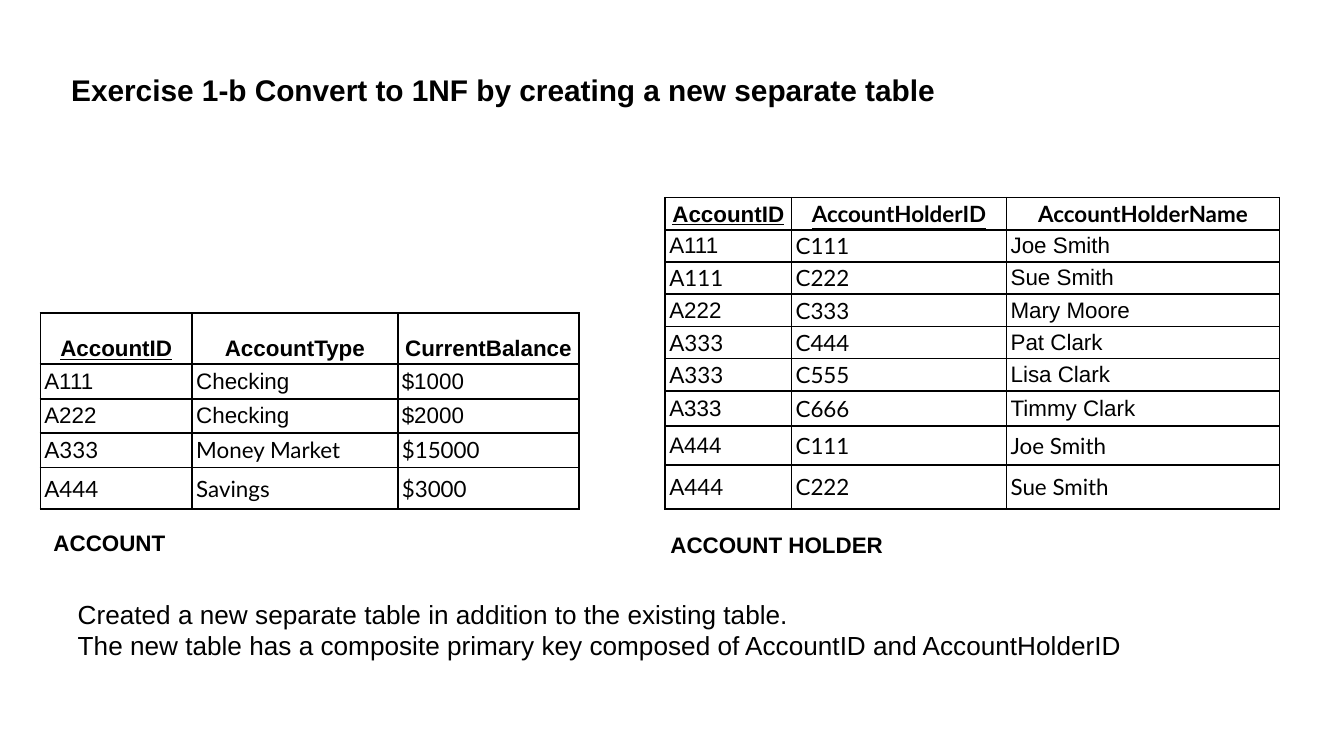
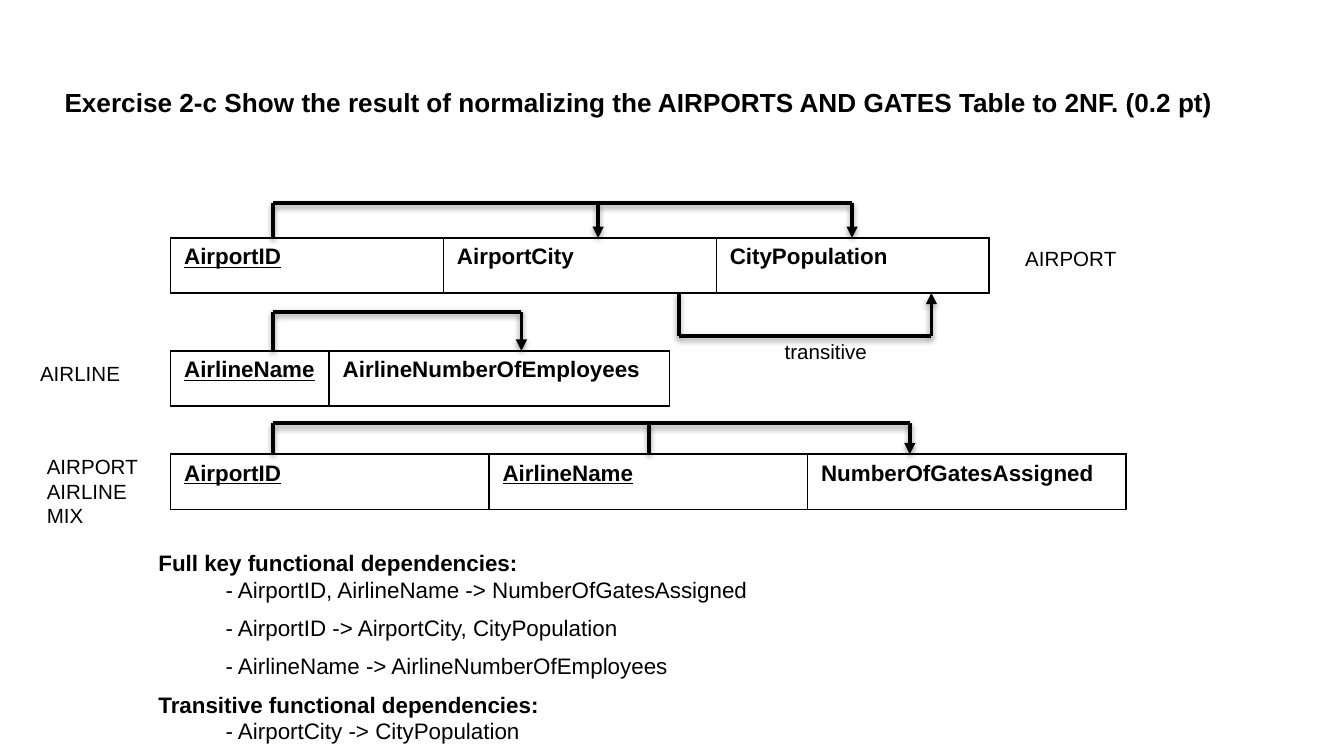
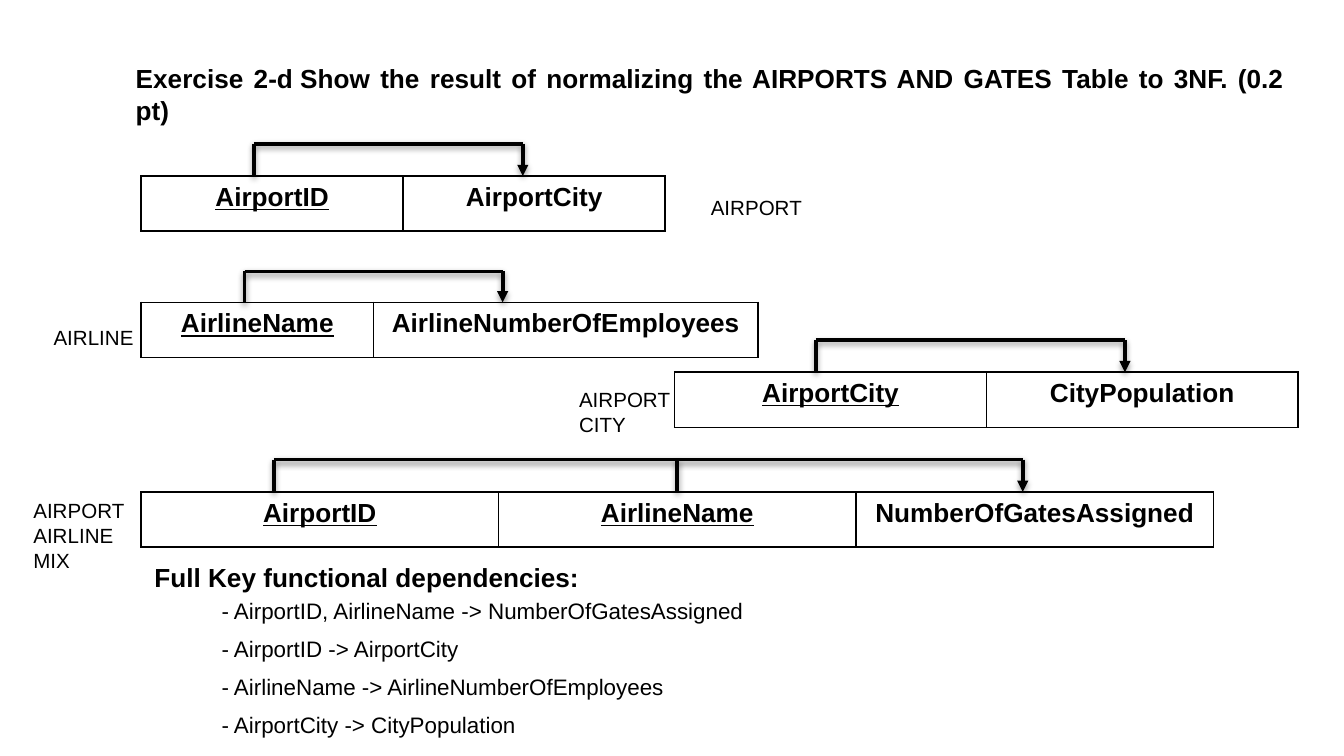
from lxml import etree
from pptx import Presentation
from pptx import util as u
from pptx.dml.color import RGBColor
from pptx.enum import shapes, text
from pptx.oxml import ns, parse_xml

BLACK = RGBColor(0, 0, 0)
FONTS = {"A": "Arial", "L": "Lato"}
LEFT, CENTER, JUSTIFY = text.PP_ALIGN.LEFT, text.PP_ALIGN.CENTER, text.PP_ALIGN.JUSTIFY
TOP, MIDDLE, BOTTOM = text.MSO_ANCHOR.TOP, text.MSO_ANCHOR.MIDDLE, text.MSO_ANCHOR.BOTTOM
SLIDE_W = u.Inches(10)
SLIDE_H = SLIDE_W * 9 // 16
BOX_H = 0.41
LABEL_SIZE = 11
ITEM_SIZE = 12
NBSP = chr(160)

DATA_SLIDE = {
    "title": ("Exercise 1-b Convert to 1NF by creating a new separate table",
              (0.43, 0.37, 8.09, 0.59), 16, LEFT),
    "tables": [
        {"at": (0.3, 2.33), "cols": [1.13, 1.53, 1.35],
         "heights": [0.38, 0.26, 0.25, 0.26, 0.31], "keys": 1,
         "rows": [
             ("AAA", "AccountID", "AccountType", "CurrentBalance"),
             ("AAA", "A111", "Checking", "$1000"),
             ("AAA", "A222", "Checking", "$2000"),
             ("LLL", "A333", "Money Market", "$15000"),
             ("LLL", "A444", "Savings", "$3000")]},
        {"at": (4.95, 1.47), "cols": [0.94, 1.6, 2.03],
         "heights": [0.22] * 6 + [0.26, 0.29, 0.33], "keys": 2,
         "rows": [
             ("ALL", "AccountID", "AccountHolderID", "AccountHolderName"),
             ("ALA", "A111", "C111", "Joe Smith"),
             ("LLA", "A111", "C222", "Sue Smith"),
             ("ALA", "A222", "C333", "Mary Moore"),
             ("LLA", "A333", "C444", "Pat Clark"),
             ("LLA", "A333", "C555", "Lisa Clark"),
             ("ALA", "A333", "C666", "Timmy Clark"),
             ("ALL", "A444", "C111", "Joe Smith"),
             ("LLL", "A444", "C222", "Sue Smith")]}],
    "captions": [("ACCOUNT", (0.3, 3.89, 1.03, 0.3)),
                 ("ACCOUNT HOLDER", (4.89, 3.9, 1.8, 0.3))],
    "remarks": ((0.48, 4.4, 8.35, 0.57), [
        "Created a new separate table in addition to the existing table.",
        "The new table has a composite primary key composed of AccountID and AccountHolderID"]),
}

SCHEMA_SLIDES = [
    {"title": (f"Exercise 2-c{NBSP}Show the result of normalizing the AIRPORTS AND GATES Table to 2NF. (0.2 pt)",
               (0.38, 0.29, 9, 0.94), 14, JUSTIFY),
     "style": (12, LEFT),
     "relations": [
         ((1.27, 1.77), [2.03] * 3, 1, ["AirportID", "AirportCity", "CityPopulation"]),
         ((1.27, 2.61), [1.18, 2.53], 1, ["AirlineName", "AirlineNumberOfEmployees"]),
         ((1.27, 3.38), [2.37] * 3, 2, ["AirportID", "AirlineName", "NumberOfGatesAssigned"])],
     "brackets": [
         (2.03, 1.77, 1.51, [(4.45, True), (6.34, True)]),
         (2.03, 2.61, 2.32, [(3.88, True)]),
         (5.05, 2.18, 2.5, [(6.93, True)]),
         (2.03, 3.38, 3.15, [(4.83, False), (6.77, True)])],
     "labels": [("transitive", (5.74, 2.47, 0.82, 0.29)),
                ("AIRPORT", (7.53, 1.78, 1.22, 0.29)),
                ("AIRLINE", (0.2, 2.64, 1.07, 0.29)),
                ("AIRPORT AIRLINE MIX", (0.25, 3.33, 0.93, 0.66))],
     "notes_at": (1.08, 4.04, 6.11, 1.57),
     "heading_size": 12,
     "dependencies": [
         ("Full key functional dependencies:", [
             "AirportID, AirlineName -> NumberOfGatesAssigned",
             "AirportID -> AirportCity, CityPopulation",
             "AirlineName -> AirlineNumberOfEmployees"]),
         ("Transitive functional dependencies:", ["AirportCity -> CityPopulation"])]},
    {"title": (f"Exercise 2-d{NBSP}Show the result of normalizing the AIRPORTS AND GATES Table to 3NF. (0.2 pt)",
               (0.91, 0.23, 8.75, 0.94), 14, JUSTIFY),
     "style": (14, CENTER),
     "relations": [
         ((1.05, 1.31), [1.95] * 2, 1, ["AirportID", "AirportCity"]),
         ((1.05, 2.25), [1.73, 2.86], 1, ["AirlineName", "AirlineNumberOfEmployees"]),
         ((5.02, 2.77), [2.32] * 2, 1, ["AirportCity", "CityPopulation"]),
         ((1.05, 3.66), [2.66] * 3, 2, ["AirportID", "AirlineName", "NumberOfGatesAssigned"])],
     "brackets": [
         (1.89, 1.31, 1.07, [(3.89, True)]),
         (1.82, 2.25, 2.02, [(3.74, True)]),
         (6.07, 2.77, 2.53, [(8.37, True)]),
         (2.04, 3.66, 3.42, [(5.04, False), (7.61, True)])],
     "labels": [("AIRPORT", (5.19, 1.4, 1.22, 0.29)),
                ("AIRLINE", (0.3, 2.37, 1.22, 0.29)),
                ("AIRPORT CITY", (4.21, 2.83, 1.22, 0.47)),
                ("AIRPORT AIRLINE MIX", (0.15, 3.66, 0.93, 0.66))],
     "notes_at": (1.05, 4.13, 5.51, 1.43),
     "heading_size": 14,
     "dependencies": [
         ("Full Key functional dependencies:", [
             "AirportID, AirlineName -> NumberOfGatesAssigned",
             "AirportID -> AirportCity",
             "AirlineName -> AirlineNumberOfEmployees",
             "AirportCity -> CityPopulation"])]},
]

SHADOW = (f'<a:effectLst {ns.nsdecls("a")}><a:outerShdw blurRad="40000" dist="20000" dir="5400000" '
          'rotWithShape="0"><a:srgbClr val="000000"><a:alpha val="38000"/></a:srgbClr>'
          '</a:outerShdw></a:effectLst>')


def inches(values):
    return [u.Inches(v) for v in values]


def format_paragraph(p, size, bold=False, align=LEFT, font="Arial", underline=False):
    p.alignment = align
    for r in p.runs:
        f = r.font
        f.name, f.size, f.bold, f.underline = font, u.Pt(size), bold, underline
        f.color.rgb = BLACK


def add_title(s, words, at, size, align):
    sp = s.shapes.title
    sp.left, sp.top, sp.width, sp.height = inches(at)
    tf = sp.text_frame
    tf.text = words
    tf.auto_size = text.MSO_AUTO_SIZE.NONE
    tf.vertical_anchor = MIDDLE
    format_paragraph(tf.paragraphs[0], size, True, align)


def add_text(s, lines, at, size, bold=False, wrap=True):
    tf = s.shapes.add_textbox(*inches(at)).text_frame
    tf.word_wrap = wrap
    tf.auto_size = text.MSO_AUTO_SIZE.SHAPE_TO_FIT_TEXT
    tf.text = "\n".join(lines)
    for p in tf.paragraphs:
        format_paragraph(p, size, bold)
    return tf


def add_borders(cell):
    tc_pr = cell._tc.get_or_add_tcPr()
    for i, side in enumerate(("lnL", "lnR", "lnT", "lnB")):
        tc_pr.insert(i, parse_xml(
            f'<a:{side} {ns.nsdecls("a")} w="12700"><a:solidFill>'
            f'<a:srgbClr val="{BLACK}"/></a:solidFill></a:{side}>'))


def add_grid(s, at, cols, heights):
    size = (sum(cols), sum(heights))
    table = s.shapes.add_table(len(heights), len(cols), *inches(at + size)).table
    table.first_row = table.horz_banding = False
    for column, width in zip(table.columns, cols):
        column.width = u.Inches(width)
    for row, height in zip(table.rows, heights):
        row.height = u.Inches(height)
    return table


def fill_cell(cell, words, anchor=TOP, **style):
    cell.text = words
    cell.vertical_anchor = anchor
    cell.fill.background()
    add_borders(cell)
    format_paragraph(cell.text_frame.paragraphs[0], **style)


def add_data_table(s, at, cols, heights, keys, rows):
    table = add_grid(s, at, cols, heights)
    for i, (fonts, *values) in enumerate(rows):
        head = i == 0
        for j, value in enumerate(values):
            cell = table.cell(i, j)
            cell.margin_left = cell.margin_right = u.Inches(0.03)
            cell.margin_top = cell.margin_bottom = u.Inches(0.02)
            fill_cell(cell, value, BOTTOM if head else MIDDLE, size=12, bold=head,
                      align=CENTER if head else LEFT, font=FONTS[fonts[j]],
                      underline=head and j < keys)


def add_relation(s, at, cols, keys, names, size, align):
    table = add_grid(s, at, cols, [BOX_H])
    for j, name in enumerate(names):
        fill_cell(table.cell(0, j), name, size=size, bold=True, align=align, underline=j < keys)


def add_line(s, x1, y1, x2, y2, arrow=False):
    line = s.shapes.add_connector(shapes.MSO_CONNECTOR.STRAIGHT, *inches((x1, y1, x2, y2)))
    line.line.color.rgb = BLACK
    line.line.width = u.Pt(2)
    if arrow:
        etree.SubElement(line.line._get_or_add_ln(), ns.qn("a:tailEnd"), type="triangle")
    line._element.spPr.append(parse_xml(SHADOW))


def add_bracket(s, start, edge, rail, drops):
    add_line(s, start, edge, start, rail)
    add_line(s, start, rail, drops[-1][0], rail)
    for x, arrow in drops:
        add_line(s, x, rail, x, edge, arrow)


def add_dependencies(s, groups, at, heading_size):
    lines = []
    for heading, items in groups:
        lines += [heading] + ["- " + item for item in items]
    for p in add_text(s, lines, at, ITEM_SIZE).paragraphs:
        if p.text.startswith("- "):
            p.alignment = JUSTIFY
            p.space_after = u.Pt(6)
            p._p.get_or_add_pPr().set("marL", str(u.Inches(0.5)))
        else:
            format_paragraph(p, heading_size, True)
            p.space_after = u.Pt(heading_size - ITEM_SIZE)


def build_data_slide(s, data):
    add_title(s, *data["title"])
    for table in data["tables"]:
        add_data_table(s, **table)
    for words, at in data["captions"]:
        add_text(s, [words], at, 12, True, wrap=False)
    at, lines = data["remarks"]
    add_text(s, lines, at, 14)


def build_schema_slide(s, data):
    add_title(s, *data["title"])
    for relation in data["relations"]:
        add_relation(s, *relation, *data["style"])
    add_dependencies(s, data["dependencies"], data["notes_at"], data["heading_size"])
    for bracket in data["brackets"]:
        add_bracket(s, *bracket)
    for words, at in data["labels"]:
        add_text(s, [words], at, LABEL_SIZE)


def main():
    prs = Presentation()
    prs.slide_width, prs.slide_height = SLIDE_W, SLIDE_H
    layout = prs.slide_layouts[5]
    build_data_slide(prs.slides.add_slide(layout), DATA_SLIDE)
    for data in SCHEMA_SLIDES:
        build_schema_slide(prs.slides.add_slide(layout), data)
    prs.save("out.pptx")


if __name__ == "__main__":
    main()
